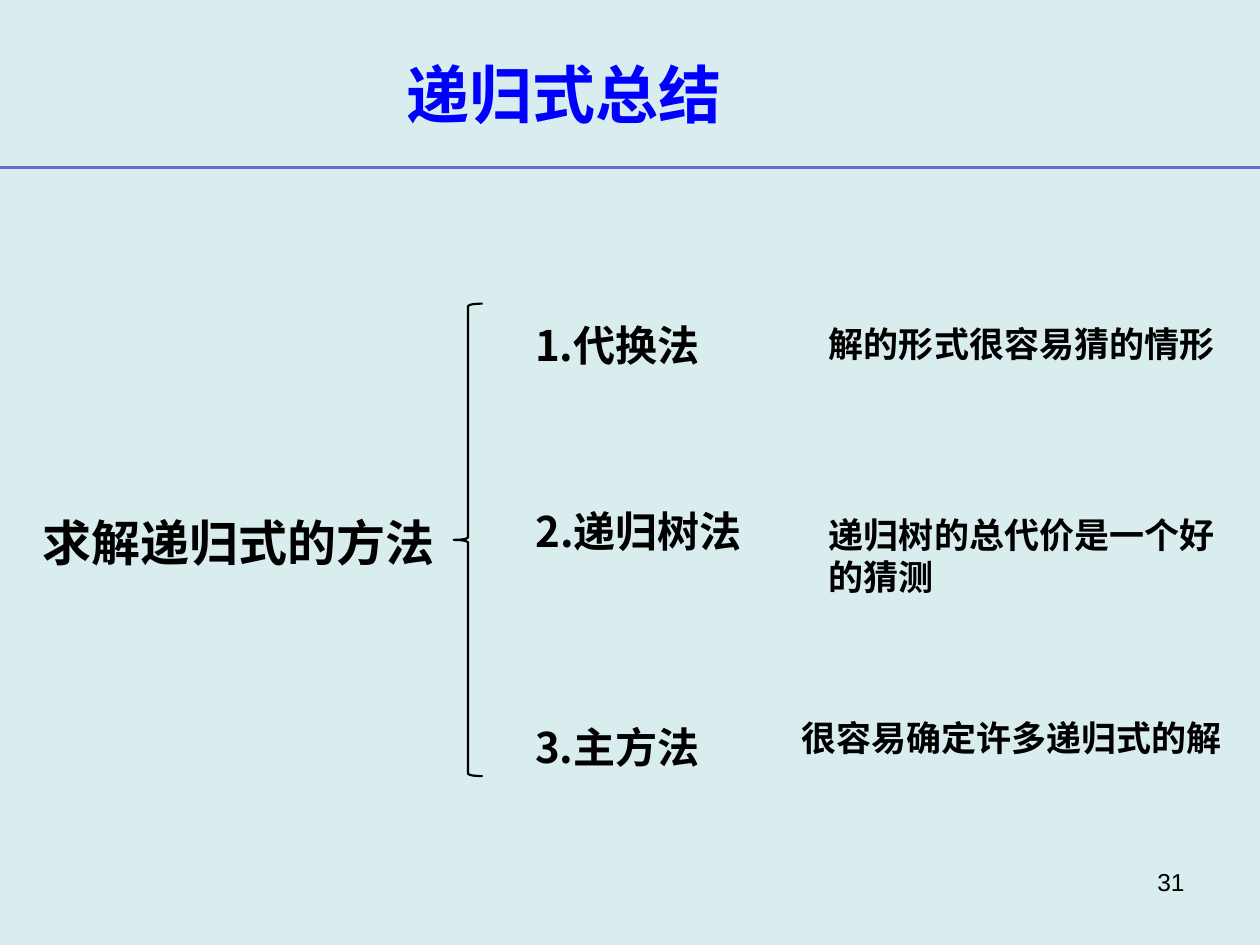
from dataclasses import dataclass

from lxml.etree import SubElement
from pptx import Presentation
from pptx.dml.color import RGBColor
from pptx.enum.shapes import MSO_CONNECTOR, MSO_SHAPE
from pptx.enum.text import MSO_ANCHOR, PP_ALIGN
from pptx.oxml.ns import qn
from pptx.util import Inches, Pt


@dataclass(frozen=True)
class Theme:
    back: str = "D9EDEF"
    rule: str = "6B6BCF"
    title: str = "0000FF"
    ink: str = "000000"
    font: str = "Noto Sans CJK SC"
    plain: str = "Arial"
    head: int = 36
    root: int = 28
    item: int = 24
    note: int = 20
    page: int = 14
    line: float = 1.25


def write(shape, text, size, color, font, bold=True, align=PP_ALIGN.LEFT):
    frame = shape.text_frame
    frame.word_wrap = True
    frame.vertical_anchor = MSO_ANCHOR.TOP
    para = frame.paragraphs[0]
    para.alignment = align
    run = para.add_run()
    run.text = text
    run.font.size = Pt(size)
    run.font.bold = bold
    run.font.name = font
    run.font.color.rgb = RGBColor.from_string(color)
    SubElement(run.font._element, qn("a:ea"), typeface=font)


class Deck:
    def __init__(self, theme):
        self.theme = theme
        self.file = Presentation()
        self.file.slide_width = Inches(10)
        self.file.slide_height = Inches(7.5)
        self.slide = self.file.slides.add_slide(self.file.slide_layouts[5])
        fill = self.slide.background.fill
        fill.solid()
        fill.fore_color.rgb = RGBColor.from_string(theme.back)

    def title(self, text, left, top, width, height):
        shape = self.slide.shapes.title
        shape.left, shape.top = Inches(left), Inches(top)
        shape.width, shape.height = Inches(width), Inches(height)
        write(shape, text, self.theme.head, self.theme.title, self.theme.font)

    def text(self, text, left, top, width, height, size, **form):
        box = self.slide.shapes.add_textbox(
            Inches(left), Inches(top), Inches(width), Inches(height))
        form.setdefault("font", self.theme.font)
        write(box, text, size, self.theme.ink, **form)

    def rule(self, top):
        line = self.slide.shapes.add_connector(
            MSO_CONNECTOR.STRAIGHT, 0, Inches(top), Inches(10), Inches(top))
        line.line.color.rgb = RGBColor.from_string(self.theme.rule)
        line.line.width = Pt(self.theme.line)
        SubElement(line._element.spPr, qn("a:effectLst"))

    def brace(self, left, top, width, height):
        shape = self.slide.shapes.add_shape(
            MSO_SHAPE.LEFT_BRACE, Inches(left), Inches(top),
            Inches(width), Inches(height))
        shape.shadow.inherit = False
        shape.fill.background()
        shape.line.color.rgb = RGBColor.from_string(self.theme.ink)
        shape.line.width = Pt(self.theme.line)


def main():
    theme = Theme()
    deck = Deck(theme)
    deck.rule(1.33)
    deck.title("递归式总结", 3.13, 0.39, 2.81, 0.7)
    deck.text("求解递归式的方法", 0.24, 4.02, 3.59, 0.57, theme.root)
    deck.brace(3.6, 2.41, 0.23, 3.75)

    items = [("1.代换法", 2.49, 1.64, 0.9),
             ("2.递归树法", 3.96, 2.11, 0.5),
             ("3.主方法", 5.68, 1.64, 0.9)]
    for text, top, width, height in items:
        deck.text(text, 4.15, top, width, height, theme.item)

    notes = [("解的形式很容易猜的情形", 6.48, 2.51, 3.28, 0.44),
             ("递归树的总代价是一个好的猜测", 6.48, 4.03, 3.28, 0.77),
             ("很容易确定许多递归式的解", 6.26, 5.64, 3.74, 0.44)]
    for text, *place in notes:
        deck.text(text, *place, theme.note)

    deck.text("31", 7.17, 6.83, 2.33, 0.52, theme.page,
              font=theme.plain, bold=False, align=PP_ALIGN.RIGHT)
    deck.file.save("out.pptx")


if __name__ == "__main__":
    main()
